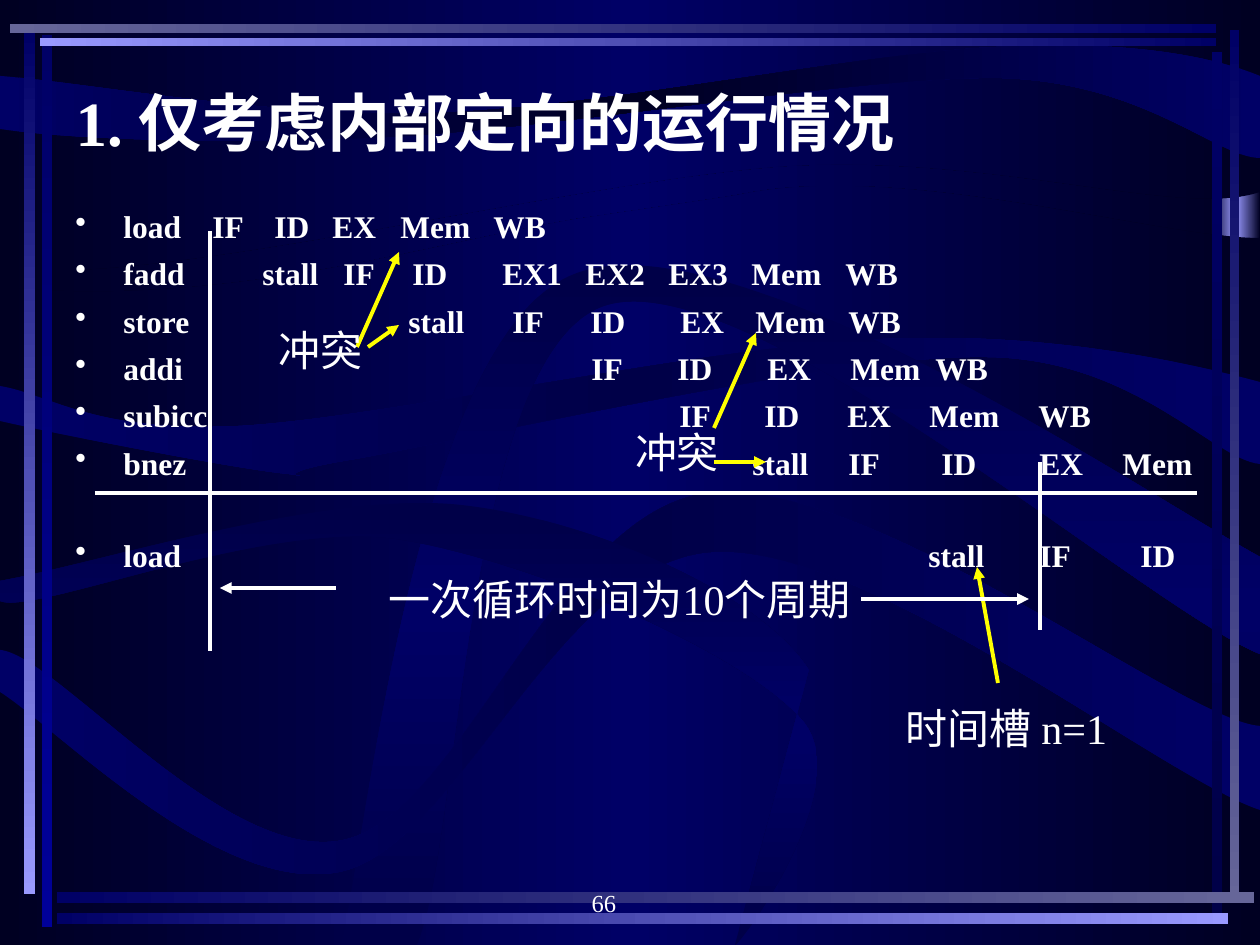
from dataclasses import dataclass
from typing import NamedTuple

from lxml import etree
from pptx import Presentation
from pptx import util as u
from pptx.dml.color import RGBColor
from pptx.enum import shapes, text
from pptx.oxml.ns import qn

EMU_PER_PX = 914400 / 126


@dataclass(frozen=True)
class Theme:
    font: str = "Times New Roman"
    ink: str = "FFFFFF"
    accent: str = "FFFF00"
    night: str = "000022"
    deep: str = "000048"
    navy: str = "000066"
    blue: str = "000099"
    slate: str = "666699"
    glow: str = "9999FF"
    title: int = 36
    label: int = 24
    body: int = 18
    number: int = 14
    rule: float = 2.25


THEME = Theme()


class Box(NamedTuple):
    left: int
    top: int
    width: int
    height: int


class Bar(NamedTuple):
    box: Box
    colors: tuple
    down: bool


class Ribbon(NamedTuple):
    start: tuple
    segments: tuple  # two numbers: a line; six numbers: a cubic curve
    colors: tuple
    down: bool = False


class Line(NamedTuple):
    start: tuple
    end: tuple
    color: str = THEME.ink
    arrow: bool = False


class Label(NamedTuple):
    box: Box
    words: str
    size: int = THEME.label
    anchor: text.MSO_ANCHOR = text.MSO_ANCHOR.TOP


class Instruction(NamedTuple):
    name: str
    stages: tuple  # stage names
    stops: tuple  # left edge of each stage
    before: float = 5.4


NIGHT = (THEME.night, THEME.navy, THEME.night)
RIBBON = (THEME.navy, THEME.deep, THEME.navy)
ARCH = (THEME.deep, THEME.navy, THEME.deep)

RIBBONS = (
    Ribbon((0, 0), ((1260, 0), (1260, 192), (1182, 219, 998, 154, 788, 166),
                    (577, 179, 131, 294, 0, 266)), NIGHT),
    Ribbon((0, 447), ((224, 469, 428, 404, 577, 379), (577, 379, 714, 359, 738, 355),
                      (901, 320, 1155, 398, 1260, 398), (1260, 945), (0, 945)), NIGHT),
    Ribbon((0, 76), ((0, 129), (64, 139, 222, 145, 388, 137), (554, 129, 856, 76, 1000, 78),
                     (1145, 82, 1217, 158, 1260, 158), (1260, 76), (1216, 58, 1135, 40, 998, 47),
                     (859, 53, 601, 108, 435, 113), (268, 118, 91, 83, 0, 76)),
           (THEME.navy, THEME.night, THEME.navy)),
    Ribbon((0, 386), ((0, 421), (47, 432, 221, 466, 280, 473), (339, 479, 239, 478, 355, 459),
                      (473, 438, 832, 355, 983, 357), (1134, 357, 1213, 460, 1260, 464),
                      (1260, 382), (1197, 365, 1053, 331, 883, 339),
                      (713, 345, 387, 418, 239, 426), (92, 433, 50, 394, 0, 386)), RIBBON),
    Ribbon((341, 945), ((367, 833, 418, 339, 572, 275), (725, 209, 1145, 494, 1260, 557),
                        (1260, 654), (1150, 611, 745, 258, 604, 306),
                        (464, 355, 461, 839, 417, 945)), ARCH, True),
    Ribbon((0, 650), ((0, 692), (57, 728, 219, 896, 339, 872), (457, 849, 558, 562, 712, 552),
                      (866, 541, 1168, 781, 1260, 810), (1260, 726),
                      (1182, 721, 871, 475, 708, 493), (556, 512, 462, 814, 344, 840),
                      (226, 866, 57, 655, 0, 650)), RIBBON),
    Ribbon((0, 581), ((0, 601), (33, 616, 262, 520, 396, 539), (529, 559, 746, 653, 803, 721),
                      (859, 788, 733, 954, 735, 945), (809, 670),
                      (764, 597, 596, 520, 461, 505), (326, 490, 96, 564, 0, 581)), ARCH, True),
)
# The lower backdrop starts where its curve does
RIBBONS = RIBBONS[:1] + (RIBBONS[1]._replace(
    start=(0, 287),
    segments=((224, 309, 428, 244, 577, 219), (577, 219, 714, 199, 738, 195),
              (901, 160, 1155, 238, 1260, 238), (1260, 945), (0, 945))),) + RIBBONS[2:]
SIDE_GLOW = Bar(Box(1211, 62, 49, 435), (THEME.night, THEME.glow, THEME.night), False)
FRAME = (
    Bar(Box(42, 35, 10, 892), (THEME.navy, THEME.blue), True),
    Bar(Box(24, 32, 11, 862), (THEME.navy, THEME.glow), True),
    Bar(Box(1230, 30, 9, 873), (THEME.navy, THEME.slate), True),
    Bar(Box(1212, 52, 10, 861), (THEME.navy, THEME.deep), True),
    Bar(Box(57, 892, 1197, 11), (THEME.navy, THEME.slate), False),
    Bar(Box(57, 913, 1171, 11), (THEME.navy, THEME.glow), False),
    Bar(Box(40, 38, 1176, 8), (THEME.glow, THEME.navy), False),
    Bar(Box(10, 24, 1206, 9), (THEME.slate, THEME.navy), False),
)
BODY = Box(63, 201, 1155, 640)
TEXT_LEFT = 75
NAME_LEFT = 123
INSTRUCTIONS = (
    Instruction("load", ("IF", "ID", "EX", "Mem", "WB"), (212, 274, 332, 400, 493), 0),
    Instruction("fadd", ("stall", "IF", "ID", "EX1", "EX2", "EX3", "Mem", "WB"),
                (262, 343, 412, 502, 585, 668, 751, 845)),
    Instruction("store", ("stall", "IF", "ID", "EX", "Mem", "WB"),
                (408, 512, 590, 680, 755, 848)),
    Instruction("addi", ("IF", "ID", "EX", "Mem", "WB"), (591, 677, 767, 850, 935)),
    Instruction("subicc", ("IF", "ID", "EX", "Mem", "WB"), (679, 764, 847, 929, 1038)),
    Instruction("bnez", ("stall", "IF", "ID", "EX", "Mem"), (752, 848, 941, 1039, 1122)),
    Instruction("load", ("stall", "IF", "ID"), (928, 1039, 1140), 31.5),
)
LINES = (
    Line((95, 493), (1197, 493)),
    Line((210, 231), (210, 651)),
    Line((1040, 462), (1040, 630)),
    Line((998, 683), (977, 567), THEME.accent, True),
    Line((357, 347), (399, 252), THEME.accent, True),
    Line((368, 347), (399, 325), THEME.accent, True),
    Line((714, 428), (756, 333), THEME.accent, True),
    Line((714, 462), (766, 462), THEME.accent, True),
    Line((336, 588), (220, 588), arrow=True),
    Line((861, 599), (1029, 599), arrow=True),
)
LABELS = (
    Label(Box(357, 567, 525, 63), "一次循环时间为10个周期"),
    Label(Box(890, 696, 233, 113), "时间槽 n=1"),
    Label(Box(242, 318, 158, 63), "冲突"),
    Label(Box(598, 420, 158, 63), "冲突"),
    Label(Box(473, 861, 262, 63), "66", THEME.number, text.MSO_ANCHOR.BOTTOM),
)


def px(value: float) -> u.Emu:
    return u.Emu(round(value * EMU_PER_PX))


def set_gradient(fill, element, colors: tuple, down: bool) -> None:
    fill.gradient()
    fill.gradient_angle = 270 if down else 0
    stops = next(element.iter(qn("a:gradFill"))).find(qn("a:gsLst"))
    for stop in list(stops):
        stops.remove(stop)
    for index, color in enumerate(colors):
        position = str(100000 * index // (len(colors) - 1))
        stop = etree.SubElement(stops, qn("a:gs"), pos=position)
        etree.SubElement(stop, qn("a:srgbClr"), val=color)


def finish_backdrop(shape, master, colors: tuple, down: bool) -> None:
    """Fill a decoration and hand it to the slide master."""
    shape.shadow.inherit = False
    shape.line.fill.background()
    set_gradient(shape.fill, shape._element, colors, down)
    next_id = max(item.shape_id for item in master.shapes) + 1
    shape._element.nvSpPr.cNvPr.set("id", str(next_id))
    master.shapes._spTree.append(shape._element)


def draw_bar(slide, master, bar: Bar) -> None:
    shape = slide.shapes.add_shape(shapes.MSO_SHAPE.RECTANGLE, *map(px, bar.box))
    finish_backdrop(shape, master, bar.colors, bar.down)


def draw_ribbon(slide, master, ribbon: Ribbon) -> None:
    anchors = [segment[-2:] for segment in ribbon.segments]
    builder = slide.shapes.build_freeform(*ribbon.start, scale=EMU_PER_PX)
    builder.add_line_segments(anchors, close=True)
    shape = builder.convert_to_shape()
    left, top = (min(values) for values in zip(ribbon.start, *anchors))
    sides = list(shape._element.iter(qn("a:lnTo")))
    for side, segment in zip(sides, ribbon.segments):
        if len(segment) == 6:
            side.tag = qn("a:cubicBezTo")
            side.remove(side[0])
            for x, y in zip(segment[::2], segment[1::2]):
                etree.SubElement(side, qn("a:pt"), x=str(x - left), y=str(y - top))
    finish_backdrop(shape, master, ribbon.colors, ribbon.down)


def draw_line(slide, line: Line) -> None:
    connector = slide.shapes.add_connector(
        shapes.MSO_CONNECTOR.STRAIGHT, *map(px, line.start + line.end))
    connector.line.color.rgb = RGBColor.from_string(line.color)
    connector.line.width = u.Pt(THEME.rule)
    if line.arrow:
        etree.SubElement(connector.line._get_or_add_ln(), qn("a:tailEnd"), type="triangle")
    etree.SubElement(connector._element.spPr, qn("a:effectLst"))


def set_font(paragraph, size: int, bold: bool = False) -> None:
    font = paragraph.font
    font.name, font.size, font.bold = THEME.font, u.Pt(size), bold
    font.color.rgb = RGBColor.from_string(THEME.ink)


def draw_label(slide, label: Label) -> None:
    frame = slide.shapes.add_textbox(*map(px, label.box)).text_frame
    frame.word_wrap, frame.vertical_anchor = True, label.anchor
    paragraph = frame.paragraphs[0]
    paragraph.text, paragraph.alignment = label.words, text.PP_ALIGN.CENTER
    set_font(paragraph, label.size)


def write_instruction(paragraph, row: Instruction) -> None:
    paragraph.text = "\t" + "\t".join((row.name, *row.stages))
    paragraph.space_before = u.Pt(row.before)
    properties = paragraph._p.get_or_add_pPr()
    properties.set("marL", "0")
    properties.set("indent", "0")
    etree.SubElement(properties, qn("a:buChar"), char="•")
    tabs = etree.SubElement(properties, qn("a:tabLst"))
    for stop in (NAME_LEFT, *row.stops):
        etree.SubElement(tabs, qn("a:tab"), pos=str(px(stop - TEXT_LEFT)), algn="l")
    set_font(paragraph, THEME.body, True)


def main() -> None:
    presentation = Presentation()
    presentation.slide_width, presentation.slide_height = px(1260), px(945)
    slide = presentation.slides.add_slide(presentation.slide_layouts[5])
    master = presentation.slide_master

    # Master background, ribbons and frame
    set_gradient(master.background.fill, master._element, NIGHT, False)
    draw_bar(slide, master, SIDE_GLOW)
    for ribbon in RIBBONS:
        draw_ribbon(slide, master, ribbon)
    for bar in FRAME:
        draw_bar(slide, master, bar)

    # Title
    title = slide.shapes.title
    title.left, title.top, title.width, title.height = map(px, Box(63, 63, 1071, 116))
    title.text_frame.auto_size = text.MSO_AUTO_SIZE.NONE
    title.text_frame.vertical_anchor = text.MSO_ANCHOR.MIDDLE
    heading = title.text_frame.paragraphs[0]
    heading.text, heading.alignment = "1. 仅考虑内部定向的运行情况", text.PP_ALIGN.LEFT
    set_font(heading, THEME.title, True)

    # Pipeline timing, one instruction per paragraph
    frame = slide.shapes.add_textbox(*map(px, BODY)).text_frame
    frame.word_wrap = True
    for index, row in enumerate(INSTRUCTIONS):
        write_instruction(frame.add_paragraph() if index else frame.paragraphs[0], row)

    # Rules, arrows and labels
    for line in LINES:
        draw_line(slide, line)
    for label in LABELS:
        draw_label(slide, label)

    presentation.save("out.pptx")


if __name__ == "__main__":
    main()
